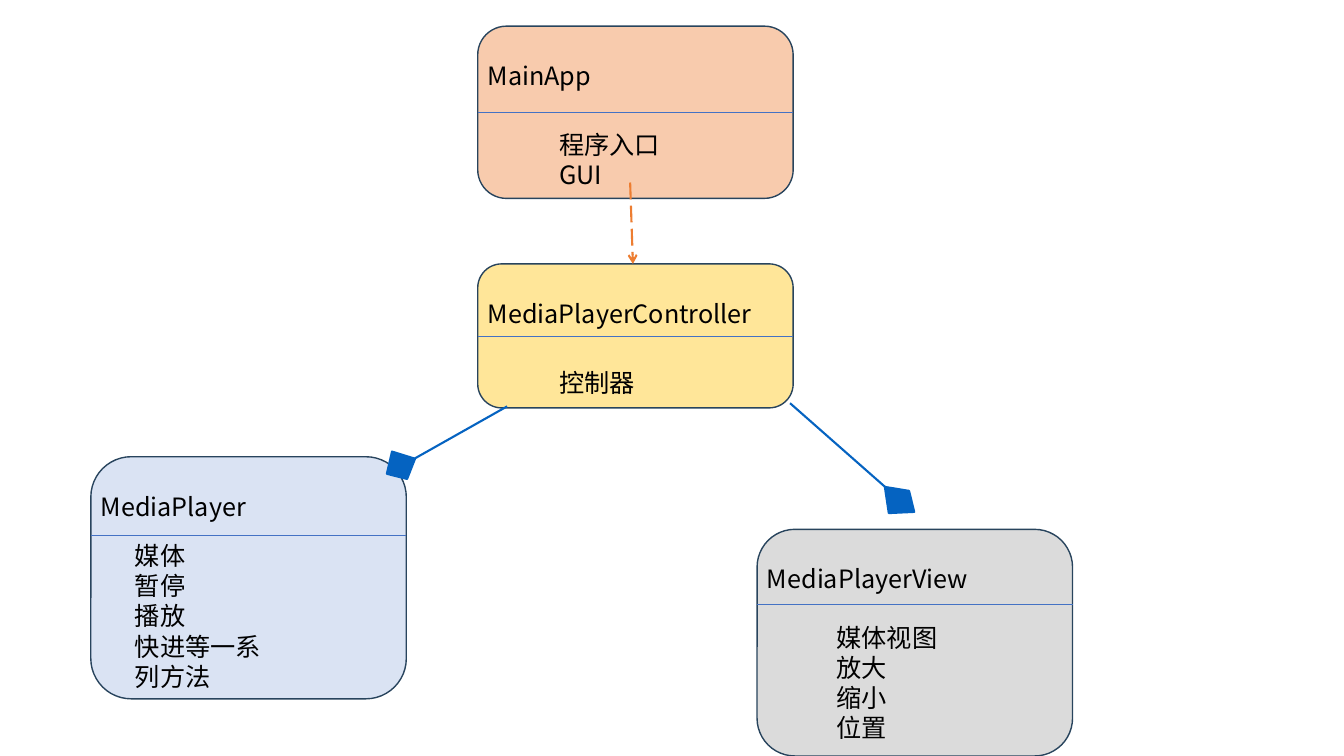
from lxml.etree import SubElement as Sub
from pptx import Presentation
from pptx.dml.color import RGBColor
from pptx.enum.dml import MSO_LINE as Dash
from pptx.enum.shapes import MSO_CONNECTOR as Conn, MSO_SHAPE as Kind
from pptx.enum.text import MSO_AUTO_SIZE as Fit
from pptx.oxml.ns import qn
from pptx.util import Cm, Pt

FONT = "Noto Sans CJK SC"
BLACK = RGBColor(0x00, 0x00, 0x00)
EDGE = RGBColor(0x28, 0x44, 0x5D)
RULE = RGBColor(0x44, 0x72, 0xC4)
BLUE = RGBColor(0x05, 0x63, 0xC1)
ORANGE = RGBColor(0xED, 0x7D, 0x31)
YELLOW = RGBColor(0xFF, 0xE6, 0x99)
PALE = RGBColor(0xDA, 0xE3, 0xF3)
GRAY = RGBColor(0xDB, 0xDB, 0xDB)
PEACH = RGBColor(0xF8, 0xCB, 0xAD)

# name, fill, left, top, height, head, note inset, note drop, note height, notes
CARDS = [
    ("MediaPlayerController", YELLOW, 12.04, 6.65, 3.63, 1.82, 1.8, 0.66, 1.02,
     ["控制器"]),
    ("MediaPlayer", PALE, 2.29, 11.51, 6.1, 1.98, 0.86, 0, 4.11,
     ["媒体", "暂停", "播放", "快进等一系列方法"]),
    ("MediaPlayerView", GRAY, 19.08, 13.34, 5.71, 1.88, 1.75, 0.33, 3.33,
     ["媒体视图", "放大", "缩小", "位置"]),
    ("MainApp", PEACH, 12.04, 0.66, 4.34, 2.17, 1.8, 0.31, 1.8,
     ["程序入口GUI"]),
]
WIDE, NOTE, NAME, DROP = 7.95, 3.94, 1.02, 0.74
LINKS = [
    ([(9.75, 11.94), (10.26, 12.07), (10.46, 11.56), (9.88, 11.38)],
     (10.44, 11.56), (12.78, 10.24)),
    ([(23.04, 12.9), (22.91, 12.37), (22.3, 12.27), (22.4, 12.93)],
     (22.33, 12.29), (19.91, 10.16)),
]
CALL = (15.88, 4.6), (15.95, 6.65)

deck = Presentation()
deck.slide_width, deck.slide_height = Cm(33.87), Cm(19.05)
shapes = deck.slides.add_slide(deck.slide_layouts[6]).shapes


def paint(shape, fill, edge, size):
    shape.shadow.inherit = False
    shape.fill.solid()
    shape.fill.fore_color.rgb = fill
    shape.line.color.rgb = edge
    shape.line.width = Pt(size)


def draw(start, end, color, size):
    line = shapes.add_connector(Conn.STRAIGHT, *map(Cm, start + end))
    line.line.color.rgb = color
    line.line.width = Pt(size)
    Sub(line._element.spPr, qn("a:effectLst"))
    return line


def write(left, top, width, height, texts):
    frame = shapes.add_textbox(*map(Cm, (left, top, width, height))).text_frame
    frame.word_wrap = True
    frame.auto_size = Fit.SHAPE_TO_FIT_TEXT
    for i, text in enumerate(texts):
        para = frame.add_paragraph() if i else frame.paragraphs[0]
        run = para.add_run()
        run.text = text
        run.font.size = Pt(18)
        run.font.color.rgb = BLACK
        run.font.name = FONT
        Sub(run.font._element, qn("a:ea"), typeface=FONT)


for name, fill, left, top, height, head, inset, drop, tall, notes in CARDS:
    card = shapes.add_shape(Kind.ROUNDED_RECTANGLE,
                            *map(Cm, (left, top, WIDE, height)))
    paint(card, fill, EDGE, 1)
    mid = top + head
    draw((left, mid), (left + WIDE, mid), RULE, 0.5)
    write(left, top + DROP, WIDE, NAME, [name])
    write(left + inset, mid + drop, NOTE, tall, notes)

for points, start, end in LINKS:
    first, *rest = [(Cm(x), Cm(y)) for x, y in points]
    pen = shapes.build_freeform(*first)
    pen.add_line_segments(rest, close=True)
    paint(pen.convert_to_shape(), BLUE, BLUE, 1.5)
    draw(start, end, BLUE, 1.5)

call = draw(*CALL, ORANGE, 1.5)
call.line.dash_style = Dash.LONG_DASH
Sub(call.line._get_or_add_ln(), qn("a:tailEnd"), type="arrow")

deck.save("out.pptx")
